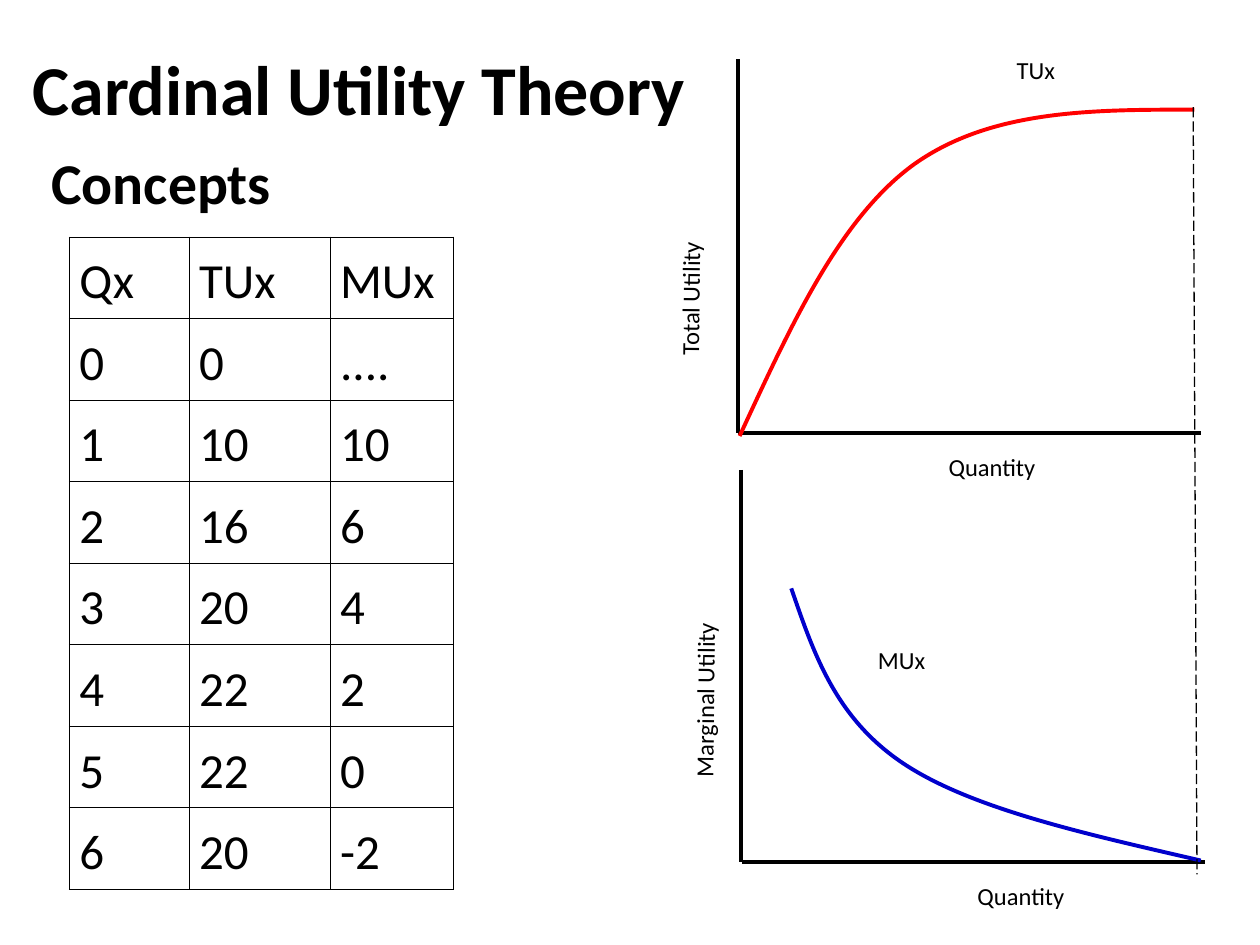
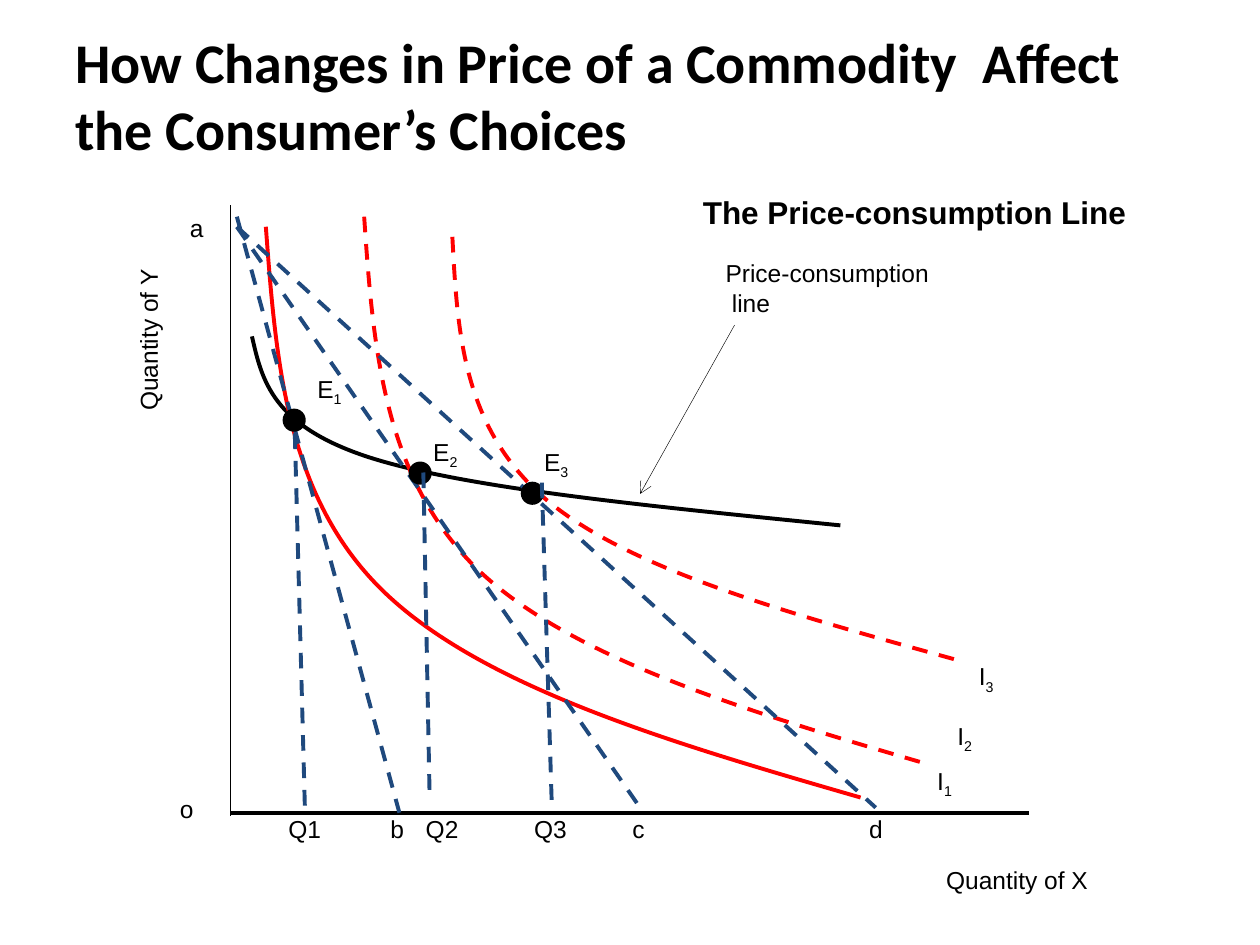
"""Build two slides on cardinal utility and the price-consumption line."""
from dataclasses import dataclass

from lxml.etree import SubElement
from pptx import Presentation
from pptx.dml.color import RGBColor as Rgb
from pptx.enum.dml import MSO_LINE as Dash
from pptx.enum.shapes import MSO_CONNECTOR as Connector, MSO_SHAPE as Preset
from pptx.enum.text import MSO_ANCHOR as Anchor, MSO_AUTO_SIZE as AutoSize
from pptx.oxml.ns import qn
from pptx.util import Emu, Pt

EMU_PER_PX = 9144


@dataclass(frozen=True)
class Theme:
    ink: Rgb = Rgb(0, 0, 0)
    red: Rgb = Rgb(0xFF, 0, 0)
    blue: Rgb = Rgb(0, 0, 0xCC)
    navy: Rgb = Rgb(0x1F, 0x49, 0x7D)
    heading_font: str = "Calibri"
    diagram_font: str = "Arial"
    title: int = 40
    long_title: int = 32
    subtitle: int = 33
    caption: int = 18
    label: int = 14
    table: int = 28
    bold_line: float = 2.25
    thin_line: float = 0.75
    hairline: float = 0.25
    cell_border: float = 0.45


THEME = Theme()


def px(length):
    return Emu(length * EMU_PER_PX)


def format_run(run, font, size, bold=False):
    run.font.name, run.font.size, run.font.bold = font, Pt(size), bold
    run.font.color.rgb = THEME.ink


def add_text(slide, text, box, font, size, bold=False):
    holder = slide.shapes.add_textbox(*map(px, box))
    frame = holder.text_frame
    frame.word_wrap = True
    frame.text = text
    for paragraph in frame.paragraphs:
        for run in paragraph.runs:
            format_run(run, font, size, bold)
    return holder


def add_heading(slide, text, box, size, anchor=Anchor.MIDDLE):
    heading = add_text(slide, text, box, THEME.heading_font, size, bold=True)
    heading.text_frame.vertical_anchor = anchor


def add_label(slide, text, box, font, subscript="", rotation=0):
    label = add_text(slide, text, box, font, THEME.label)
    label.text_frame.auto_size = AutoSize.SHAPE_TO_FIT_TEXT
    label.rotation = rotation
    if subscript:
        index = label.text_frame.paragraphs[0].add_run()
        index.text = subscript
        format_run(index, font, THEME.label)
        index.font._element.set("baseline", "-25000")
    return label


def style_line(line, color, width, dash):
    line.color.rgb = color
    line.width = Pt(width)
    if dash:
        line.dash_style = dash


def add_line(slide, start, end, color=THEME.ink, width=THEME.bold_line,
             dash=None, arrow=False):
    segment = slide.shapes.add_connector(Connector.STRAIGHT, *map(px, start + end))
    style_line(segment.line, color, width, dash)
    properties = segment.element.spPr
    if arrow:
        SubElement(properties.find(qn("a:ln")), qn("a:tailEnd"), type="arrow")
    SubElement(properties, qn("a:effectLst"))


def add_curve(slide, points, color, dash=None):
    """Draw a start point followed by triples of Bezier points."""
    builder = slide.shapes.build_freeform(*points[0], scale=EMU_PER_PX)
    builder.add_line_segments(points[1:], close=False)
    curve = builder.convert_to_shape()
    outline = curve.element.find(".//" + qn("a:path"))
    steps = outline.findall(qn("a:lnTo"))
    for first in range(0, len(steps), 3):
        bend = SubElement(outline, qn("a:cubicBezTo"))
        for step in steps[first:first + 3]:
            bend.append(step[0])
            outline.remove(step)
    curve.fill.background()
    curve.shadow.inherit = False
    style_line(curve.line, color, THEME.bold_line, dash)


def add_dot(slide, left, top, diameter=17):
    dot = slide.shapes.add_shape(Preset.OVAL, *map(px, (left, top, diameter, diameter)))
    dot.fill.solid()
    dot.fill.fore_color.rgb = THEME.ink
    dot.shadow.inherit = False
    style_line(dot.line, THEME.ink, 1, None)


def border_cell(cell):
    properties = cell._tc.get_or_add_tcPr()
    for side in ("lnL", "lnR", "lnT", "lnB"):
        edge = SubElement(properties, qn(f"a:{side}"), w=str(Pt(THEME.cell_border)))
        fill = SubElement(edge, qn("a:solidFill"))
        SubElement(fill, qn("a:srgbClr"), val=str(THEME.ink))


def add_grid(slide, rows, left, top, widths, height):
    box = map(px, (left, top, sum(widths), height))
    grid = slide.shapes.add_table(len(rows), len(widths), *box).table
    grid.first_row = grid.horz_banding = False
    for column, width in zip(grid.columns, widths):
        column.width = px(width)
    for row, values in zip(grid.rows, rows):
        for cell, value in zip(row.cells, values):
            cell.text = value
            cell.margin_left = cell.margin_right = px(8)
            cell.margin_top = cell.margin_bottom = px(5)
            paragraph = cell.text_frame.paragraphs[0]
            paragraph.line_spacing = 1.15
            format_run(paragraph.runs[0], THEME.heading_font, THEME.table)
            border_cell(cell)
            cell.fill.background()


def build_cardinal_utility(slide):
    add_heading(slide, "Cardinal Utility Theory", (16, 30, 900, 79), THEME.title)
    add_heading(slide, "Concepts", (31, 109, 266, 70), THEME.subtitle)
    schedule = [
        ("Qx", "TUx", "MUx"), ("0", "0", "...."), ("1", "10", "10"),
        ("2", "16", "6"), ("3", "20", "4"), ("4", "22", "2"),
        ("5", "22", "0"), ("6", "20", "-2"),
    ]
    add_grid(slide, schedule, 55, 188, (95, 112, 98), 518)

    axes = [((586, 47), (586, 344)), ((586, 344), (953, 344)),
            ((588, 373), (588, 684)), ((589, 684), (956, 684))]
    for start, end in axes:
        add_line(slide, start, end)
    total_utility = [(587, 346), (627, 260), (666, 173), (726, 130),
                     (787, 87), (867, 87), (948, 87)]
    marginal_utility = [(628, 467), (646, 519), (663, 570), (717, 606),
                        (771, 642), (862, 662), (953, 683)]
    add_curve(slide, total_utility, THEME.red)
    add_curve(slide, marginal_utility, THEME.blue)
    add_line(slide, (947, 85), (950, 694), width=THEME.thin_line, dash=Dash.LONG_DASH)

    font = THEME.heading_font
    add_label(slide, "Total Utility", (483, 210, 130, 34), font, rotation=270.5)
    add_label(slide, "Marginal Utility", (483, 533, 153, 34), font, rotation=270.5)
    for left, top in ((743, 354), (766, 694)):
        add_label(slide, "Quantity", (left, top, 96, 34), font)
    for name, left, top in (("TUx", 797, 39), ("MUx", 687, 507)):
        add_label(slide, name, (left, top, 70, 34), font)


def build_price_consumption(slide):
    add_heading(slide, "How Changes in Price of a Commodity  Affect the Consumer’s Choices",
                (50, 17, 917, 133), THEME.long_title, Anchor.TOP)
    font = THEME.diagram_font
    add_text(slide, "The Price-consumption Line", (548, 148, 366, 40),
             font, THEME.caption, bold=True)

    add_line(slide, (183, 645), (817, 645))
    add_line(slide, (183, 163), (183, 648), width=THEME.thin_line)
    price_consumption = [(200, 267), (208, 302), (216, 338), (293, 363),
                         (371, 388), (519, 402), (667, 417)]
    add_curve(slide, price_consumption, THEME.ink)
    indifference_curves = [
        ([(211, 180), (219, 287), (227, 395), (305, 470),
          (384, 546), (534, 590), (683, 633)], None),
        ([(289, 172), (296, 275), (304, 377), (377, 450),
          (451, 522), (591, 564), (731, 605)], Dash.DASH),
        ([(359, 188), (363, 264), (367, 340), (434, 397),
          (501, 453), (630, 488), (760, 524)], Dash.DASH),
    ]
    for points, dash in indifference_curves:
        add_curve(slide, points, THEME.red, dash)

    budget_lines = [((188, 172), (317, 645)), ((188, 180), (508, 641)),
                    ((188, 180), (695, 641))]
    quantity_drops = [((234, 344), (242, 641)), ((336, 375), (341, 633)),
                      ((430, 383), (438, 641))]
    for start, end in budget_lines:
        add_line(slide, start, end, THEME.navy, dash=Dash.DASH)
    for left, top in ((225, 325), (325, 367), (414, 383)):
        add_dot(slide, left, top)
    for start, end in quantity_drops:
        add_line(slide, start, end, THEME.navy, dash=Dash.DASH)

    callout = add_label(slide, "Price-consumption\nline", (566, 200, 192, 57), font)
    callout.text_frame.paragraphs[1]._p.get_or_add_pPr().set("marL", str(px(5)))
    add_line(slide, (583, 258), (508, 392), width=THEME.hairline, arrow=True)

    indexed_labels = [
        ("E", "1", 242, 292), ("E", "2", 334, 342), ("E", "3", 422, 350),
        ("I", "1", 734, 603), ("I", "2", 750, 567), ("I", "3", 767, 520),
    ]
    for letter, index, left, top in indexed_labels:
        add_label(slide, letter, (left, top, 44, 37), font, subscript=index)
    axis_marks = [
        ("a", 141, 164, 36), ("o", 133, 625, 36), ("b", 300, 641, 36),
        ("c", 492, 641, 36), ("d", 680, 641, 36),
        ("Q1", 219, 641, 52), ("Q2", 328, 641, 52), ("Q3", 414, 641, 52),
    ]
    for mark, left, top, width in axis_marks:
        add_label(slide, mark, (left, top, width, 34), font)
    add_label(slide, "Quantity of X", (741, 682, 142, 34), font)
    add_label(slide, "Quantity of Y", (47, 248, 142, 34), font, rotation=270)


def main():
    deck = Presentation()
    deck.slide_width, deck.slide_height = px(1000), px(750)
    blank = deck.slide_layouts[6]
    for build in (build_cardinal_utility, build_price_consumption):
        build(deck.slides.add_slide(blank))
    deck.save("out.pptx")


if __name__ == "__main__":
    main()
